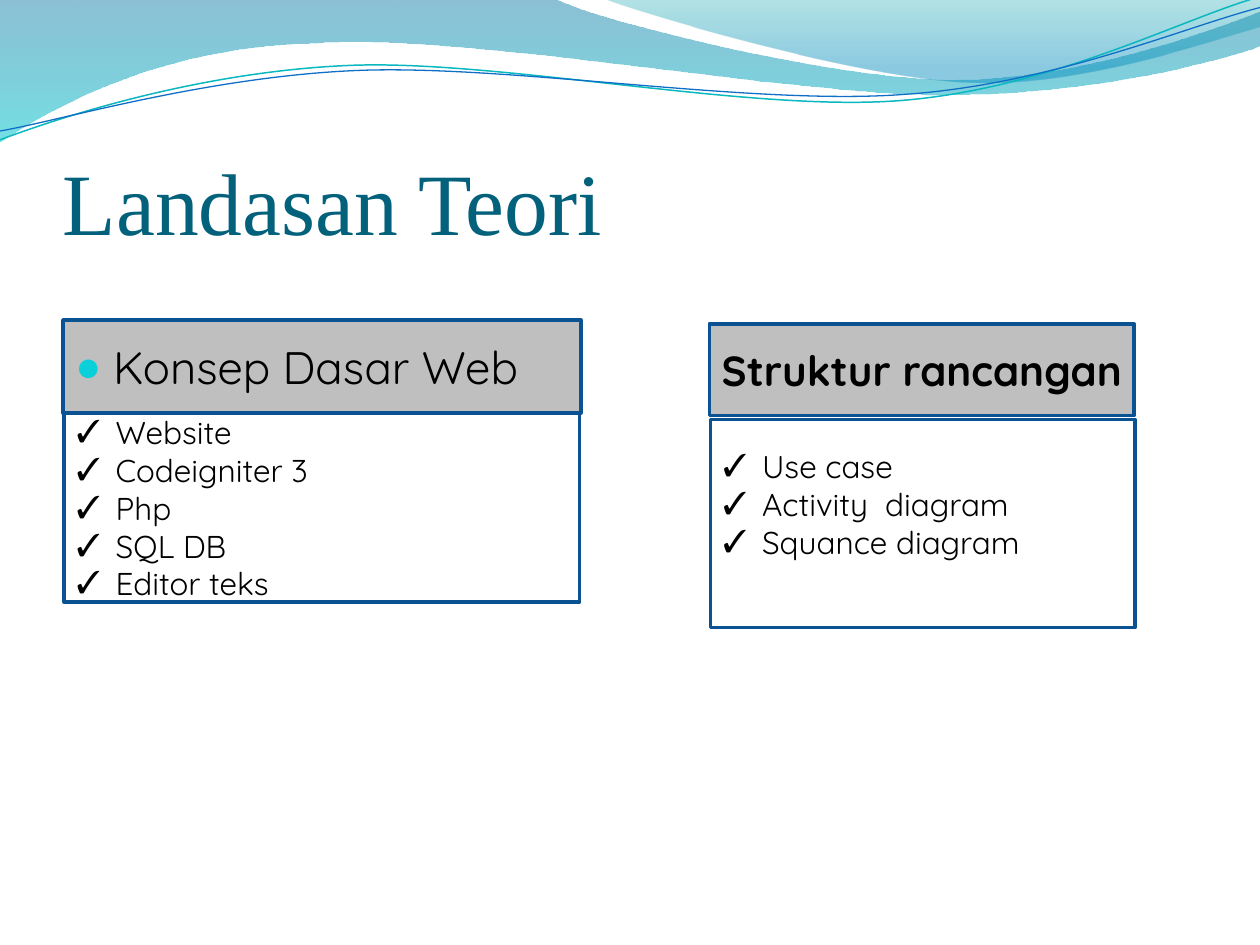
from pptx import Presentation
from pptx.dml.color import RGBColor
from pptx.enum.shapes import MSO_SHAPE
from pptx.enum.text import MSO_ANCHOR, PP_ALIGN
from pptx.oxml.ns import qn
from pptx.util import Inches, Pt
from lxml.etree import SubElement

BODY_FONT = "Quicksand"
TITLE_FONT = "Times New Roman"
BORDER = "0B5292"

# Each wave: start point, then segments of one point (line) or three (Bezier curve)
BACK_WAVE = [
    (0, 0), [(4.4, -0.01)],
    [(4.76, 0.17), (6.64, 0.63), (7.58, 0.63)], [(8.53, 0.63), (9.58, 0.26), (10, 0.09)],
    [(10.01, 0.36)],
    [(9.83, 0.44), (8.7, 0.76), (7.46, 0.75)], [(6.22, 0.75), (3.82, 0.28), (2.57, 0.34)],
    [(1.29, 0.36), (0.46, 0.83), (-0.01, 1.13)],
    [(0, 0)],
]
FRONT_WAVE = [
    (4.79, -0.01),
    [(5.09, 0.11), (6.82, 0.62), (7.69, 0.65)], [(8.56, 0.69), (9.61, 0.32), (10, 0.21)],
    [(10, 0)], [(4.79, -0.01)],
]
TEAL_LINE = [
    (0, 1.11),
    [(0.48, 0.93), (1.58, 0.57), (2.77, 0.52)], [(3.95, 0.47), (5.93, 0.89), (7.13, 0.8)],
    [(8.33, 0.71), (9.38, 0.15), (9.98, -0.02)],
]
BLUE_LINE = [
    (0, 1.04),
    [(0.47, 0.96), (1.64, 0.61), (2.83, 0.56)], [(4.03, 0.51), (5.97, 0.84), (7.17, 0.75)],
    [(8.36, 0.67), (9.41, 0.21), (10, 0.06)],
]


def rgb(color):
    return RGBColor.from_string(color)


def add_path(s, path, close):
    """Build the outline through the end points, then bend the curved segments."""
    start, *segments = path
    builder = s.shapes.build_freeform(*map(Inches, start))
    builder.add_line_segments([tuple(map(Inches, seg[-1])) for seg in segments], close=close)
    sp = builder.convert_to_shape()
    sp.shadow.inherit = False
    lines = list(sp._element.spPr.iter(qn("a:lnTo")))
    for line, seg in zip(lines, segments):
        if len(seg) == 3:
            curve = line.makeelement(qn("a:cubicBezTo"))
            for x, y in seg:
                SubElement(curve, qn("a:pt"), x=str(Inches(x) - sp.left),
                           y=str(Inches(y) - sp.top))
            line.getparent().replace(line, curve)
    return sp


def add_wave(s, path, stops):
    """Filled wave; stops are (position, colour, opacity in percent)."""
    sp = add_path(s, path, close=True)
    sp.line.fill.background()
    sp.fill.gradient()
    sp.fill.gradient_angle = 270
    for stop, (position, color, _) in zip(sp.fill.gradient_stops, stops):
        stop.position = position
        stop.color.rgb = rgb(color)
    for clr, (_, _, opacity) in zip(sp._element.spPr.iter(qn("a:srgbClr")), stops):
        SubElement(clr, qn("a:alpha"), val=str(opacity * 1000))


def add_wave_line(s, path, color, width):
    sp = add_path(s, path, close=False)
    sp.fill.background()
    sp.line.color.rgb = rgb(color)
    sp.line.width = Pt(width)


def add_bullet(p, char, indent, color=None, size=None):
    pPr = p._p.get_or_add_pPr()
    pPr.set("marL", str(Inches(indent)))
    pPr.set("indent", str(-Inches(indent)))
    if color:
        SubElement(SubElement(pPr, qn("a:buClr")), qn("a:srgbClr"), val=color)
    if size:
        SubElement(pPr, qn("a:buSzPct"), val=str(size * 1000))
    SubElement(pPr, qn("a:buFont"), typeface=TITLE_FONT)
    SubElement(pPr, qn("a:buChar"), char=char)


def write(sp, text, size, font=BODY_FONT, color="000000", bold=False,
          anchor=MSO_ANCHOR.MIDDLE, insets=(0.1, 0.05, 0.1, 0.05), bullet=None):
    """Write one paragraph per line of text."""
    tf = sp.text_frame
    tf.word_wrap = True
    tf.vertical_anchor = anchor
    tf.margin_left, tf.margin_top, tf.margin_right, tf.margin_bottom = map(Inches, insets)
    for i, line in enumerate(text.split("\n")):
        p = tf.paragraphs[0] if i == 0 else tf.add_paragraph()
        p.alignment = PP_ALIGN.LEFT
        if bullet:
            add_bullet(p, **bullet)
        r = p.add_run()
        r.text = line
        r.font.name, r.font.size, r.font.bold = font, Pt(size), bold
        r.font.color.rgb = rgb(color)


def add_box(s, left, top, width, height, fill, text, size, **fmt):
    sp = s.shapes.add_shape(MSO_SHAPE.RECTANGLE, *map(Inches, (left, top, width, height)))
    sp.shadow.inherit = False
    sp.fill.solid()
    sp.fill.fore_color.rgb = rgb(fill)
    sp.line.color.rgb = rgb(BORDER)
    sp.line.width = Pt(2)
    write(sp, text, size, **fmt)


def main():
    prs = Presentation()
    prs.slide_width, prs.slide_height = Inches(10), Inches(7.5)
    s = prs.slides.add_slide(prs.slide_layouts[6])

    # Wave decoration
    add_wave(s, BACK_WAVE, [(0, "0074A1", 45), (1, "00C6CF", 55)])
    add_wave(s, FRONT_WAVE, [(0, "00A1A9", 30), (0.8, "008BBF", 45)])
    add_wave_line(s, TEAL_LINE, "0AB8BF", 0.85)
    add_wave_line(s, BLUE_LINE, "0F6FC6", 0.75)

    # Title
    title = s.shapes.add_textbox(*map(Inches, (0.5, 0.76, 9, 1.25)))
    write(title, "Landasan Teori", 50, font=TITLE_FONT, color="04617B",
          anchor=MSO_ANCHOR.BOTTOM, insets=(0, 0.05, 0, 0))

    # Web basics
    check = {"char": "✓", "indent": 0.31}
    add_box(s, 0.5, 2.54, 4.11, 0.74, "BFBFBF", "Konsep Dasar Web", 26,
            bullet={"char": "●", "indent": 0.3, "color": "0BD0D9", "size": 95})
    add_box(s, 0.51, 3.28, 4.09, 1.5, "FFFFFF",
            "Website\nCodeigniter 3\nPhp\nSQL DB\nEditor teks", 18,
            insets=(0.1, 0, 0.1, 0), bullet=check)

    # Design structure
    add_box(s, 5.64, 3.33, 3.37, 1.65, "FFFFFF",
            "Use case\nActivity  diagram\nSquance diagram", 18,
            anchor=MSO_ANCHOR.TOP, insets=(0.1, 0.22, 0.1, 0.05), bullet=check)
    add_box(s, 5.63, 2.57, 3.37, 0.73, "BFBFBF", "Struktur rancangan", 24, bold=True,
            insets=(0.1, 0.05, 0.05, 0.05))

    prs.save("out.pptx")


if __name__ == "__main__":
    main()
